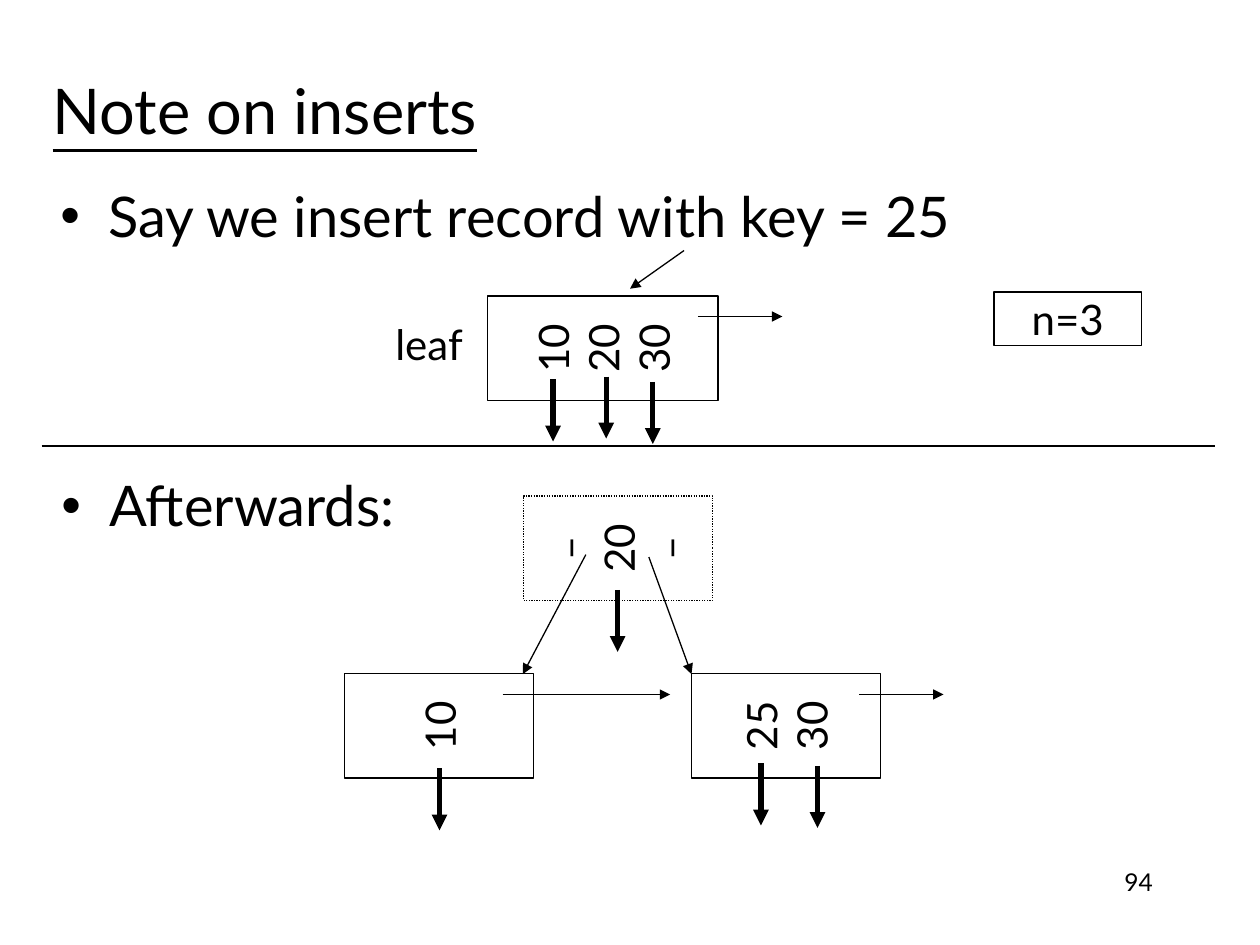
"""Build a slide on inserting a key into a B-tree leaf."""
from lxml import etree
from pptx import Presentation
from pptx.dml.color import RGBColor
from pptx.enum.dml import MSO_LINE
from pptx.enum.shapes import MSO_CONNECTOR, MSO_SHAPE
from pptx.enum.text import MSO_ANCHOR, PP_ALIGN
from pptx.oxml.ns import qn
from pptx.util import Cm, Pt

LEFT, MID, RIGHT = PP_ALIGN.LEFT, PP_ALIGN.CENTER, PP_ALIGN.RIGHT
TOP, CENTER = MSO_ANCHOR.TOP, MSO_ANCHOR.MIDDLE
RECT, LINE, DOT = MSO_SHAPE.RECTANGLE, MSO_CONNECTOR.STRAIGHT, MSO_LINE.ROUND_DOT
INK, PAPER = "000000", "FFFFFF"
THIN, THICK = 0.75, 3


def tint(code):
    """Return the colour of a hex string."""
    return RGBColor.from_string(code)


def write(text, x, y, w, h, size=24, align=MID, anchor=CENTER, wrap=False,
          under=False, bullet=False, frame=False, turn=0, dash=None):
    """Place text, one paragraph per line, in a plain or framed box."""
    area = Cm(x), Cm(y), Cm(w), Cm(h)
    if frame:
        box = slide.shapes.add_shape(RECT, *area)
        box.shadow.inherit = False
        box.fill.solid()
        box.fill.fore_color.rgb = tint(PAPER)
        box.line.color.rgb = tint(INK)
        box.line.width = Pt(THIN)
        box.line.dash_style = dash
    else:
        box = slide.shapes.add_textbox(*area)
    box.rotation = turn
    body = box.text_frame
    body.word_wrap = wrap
    body.vertical_anchor = anchor
    body.text = text
    for para in body.paragraphs:
        para.alignment = align
        if bullet:
            props = para._p.get_or_add_pPr()
            props.set("marL", str(Cm(0.96)))
            props.set("indent", str(Cm(-0.96)))
            etree.SubElement(props, qn("a:buFont"), typeface="Arial")
            etree.SubElement(props, qn("a:buChar"), char="•")
        for run in para.runs:
            font = run.font
            font.name = "Lato"
            font.size = Pt(size)
            font.underline = under
            font.color.rgb = tint(INK)


deck = Presentation()
deck.slide_width, deck.slide_height = Cm(25.4), Cm(19.05)
slide = deck.slides.add_slide(deck.slide_layouts[6])

write("Note on inserts", 0.81, 0.61, 21.59, 3.18, size=36, align=LEFT,
      wrap=True, under=True)
write("Say we insert record with key = 25", 0.97, 3.53, 21.59, 1.7, size=32,
      align=LEFT, anchor=TOP, wrap=True, bullet=True)
write("Afterwards:", 0.99, 9.37, 7.9, 1.7, size=32,
      align=LEFT, anchor=TOP, wrap=True, bullet=True)
write("leaf", 7.67, 6.3, 1.96, 1.27)
write("n=3", 20.04, 5.89, 2.97, 1.07, frame=True)
write("94", 18.21, 17.35, 5.28, 1.27, size=14, align=RIGHT, anchor=TOP,
      wrap=True)

deep = 2.11
nodes = [
    ("10\n20\n30", 12.15, 7.02, 4.65, None),
    ("10", 8.85, 14.63, 3.81, None),
    ("–\n20\n–", 12.46, 11.05, 3.81, DOT),
    ("25\n30", 15.84, 14.63, 3.81, None),
]
for keys, x, y, wide, dash in nodes:
    write(keys, x - deep / 2, y - wide / 2, deep, wide, frame=True,
          turn=270, dash=dash)

links = [
    (13.79, 5.05, 12.7, 5.82),
    (14.07, 6.38, 15.77, 6.38),
    (11.81, 11.18, 10.54, 13.59),
    (13.08, 11.23, 13.94, 13.59),
    (10.13, 14, 13.51, 14),
    (17.32, 14, 19.02, 14),
]
drops = [(11.15, 7.65), (12.22, 7.59), (13.16, 7.7), (12.45, 11.89),
         (8.86, 15.49), (15.34, 15.39), (16.48, 15.44)]
lines = [(link, THIN, True) for link in links]
lines += [((x, y, x, y + 1.25), THICK, True) for x, y in drops]
lines.append(((0.84, 8.99, 24.49, 8.99), THIN, False))

for ends, width, head in lines:
    line = slide.shapes.add_connector(LINE, *map(Cm, ends))
    line.line.color.rgb = tint(INK)
    line.line.width = Pt(width)
    if head:
        etree.SubElement(line.line._get_or_add_ln(), qn("a:tailEnd"),
                         type="triangle")
    etree.SubElement(line._element.spPr, qn("a:effectLst"))

deck.save("out.pptx")
